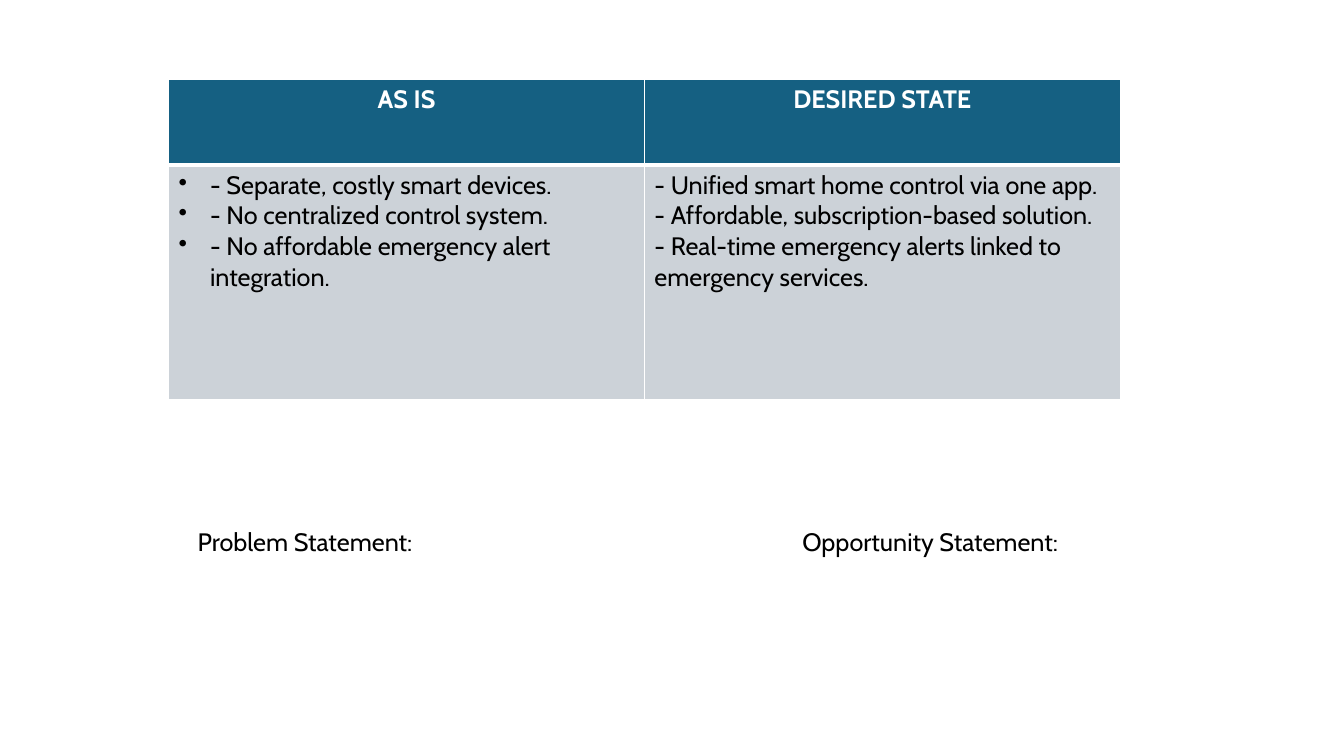
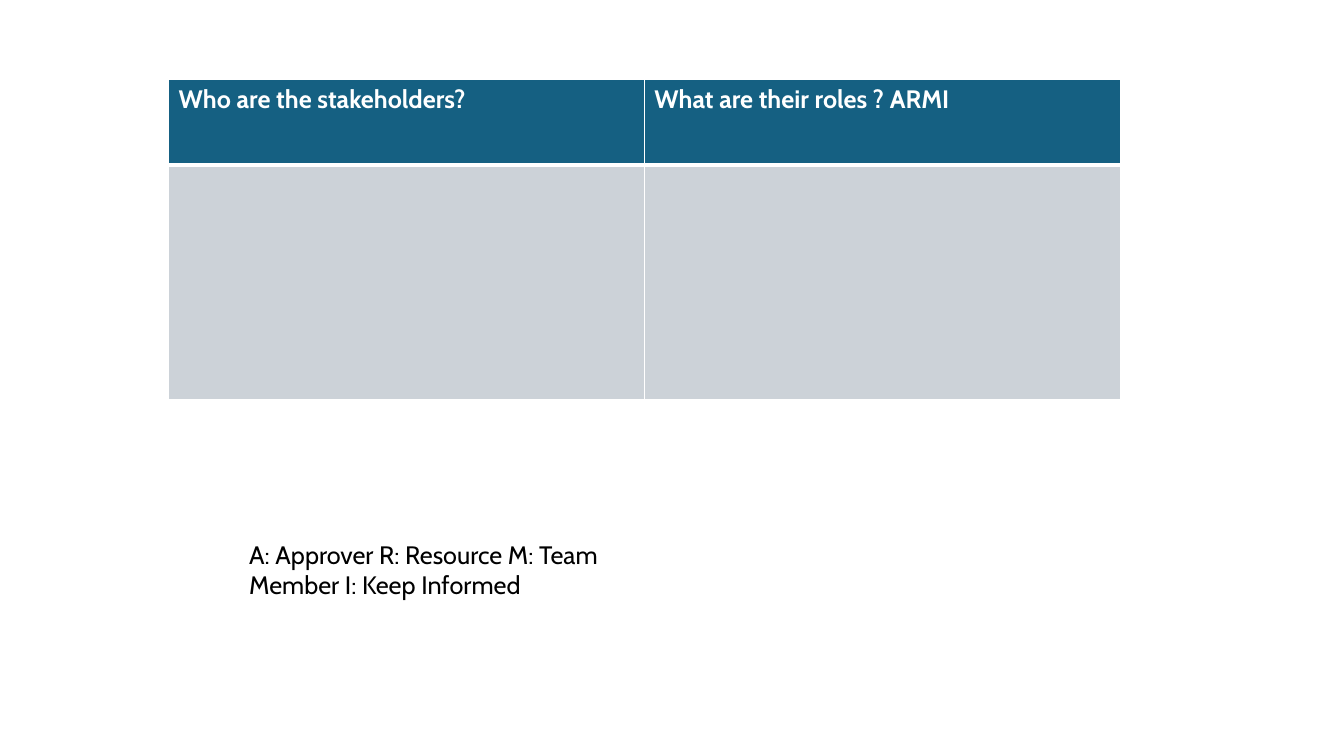
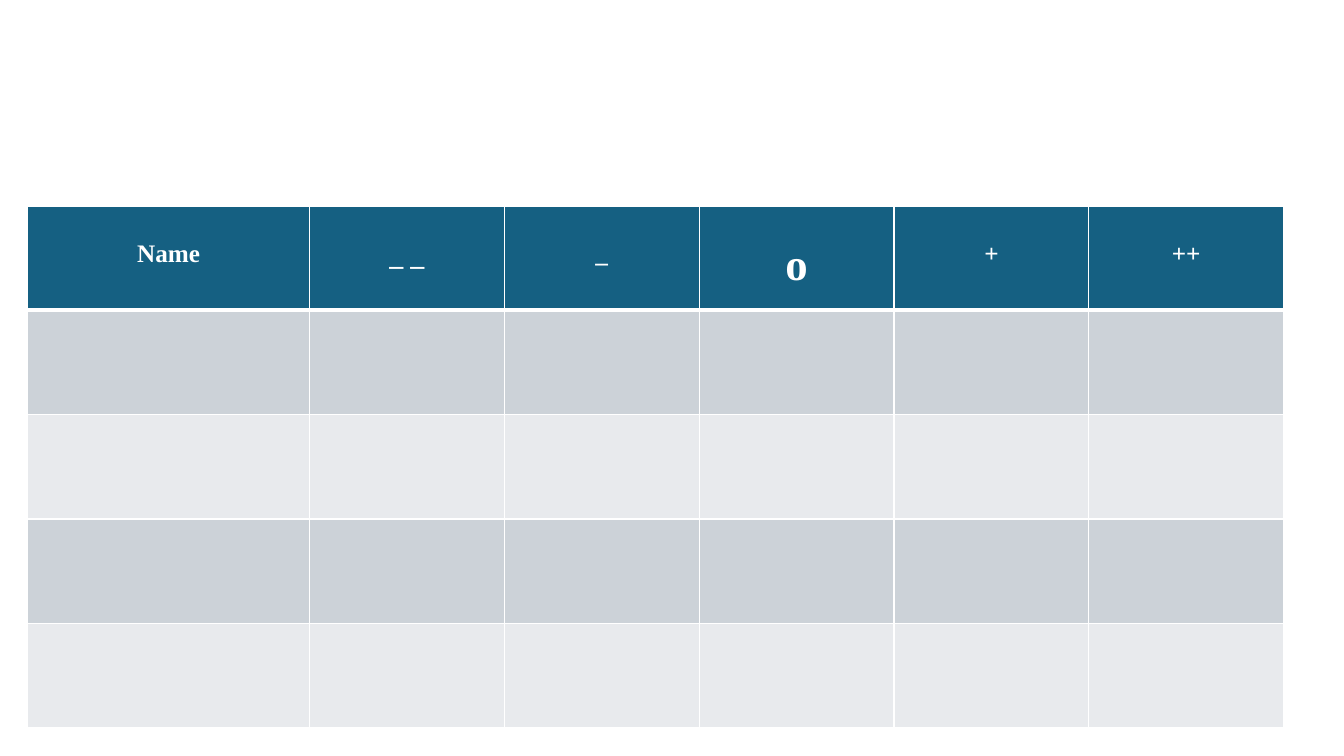
from dataclasses import dataclass

import pptx
import pptx.dml.color
import pptx.enum.text
import pptx.oxml
import pptx.oxml.ns
import pptx.util
from lxml import etree

Cm = pptx.util.Cm
Pt = pptx.util.Pt
RGB = pptx.dml.color.RGBColor.from_string
qn = pptx.oxml.ns.qn
CENTER = pptx.enum.text.PP_ALIGN.CENTER


@dataclass(frozen=True)
class Theme:
    header: str = "156082"
    bands: tuple = ("CCD2D8", "E8EAED")
    light: str = "FFFFFF"
    dark: str = "000000"
    font: str = "Cabin"
    rating_font: str = "Times New Roman"
    size: int = 18
    rating_sizes: tuple = (18, 20, 18, 32, 18, 18)
    thin: int = 1
    thick: int = 3


class Deck:
    def __init__(self, theme):
        self.theme = theme
        self.prs = pptx.Presentation()
        self.prs.slide_width = Cm(33.87)
        self.prs.slide_height = Cm(19.05)
        self.slide = None

    def new_slide(self):
        self.slide = self.prs.slides.add_slide(self.prs.slide_layouts[6])

    def style(self, paragraph, color, font=None, size=None, bold=False):
        paragraph.font.name = font or self.theme.font
        paragraph.font.size = Pt(size or self.theme.size)
        paragraph.font.bold = bold
        paragraph.font.color.rgb = RGB(color)

    def border(self, cell, row):
        """Rule all four edges, with a thick one between header and body."""
        properties = cell._tc.get_or_add_tcPr()
        heavy = {0: "lnB", 1: "lnT"}.get(row)
        for position, edge in enumerate(("lnL", "lnR", "lnT", "lnB")):
            width = self.theme.thick if edge == heavy else self.theme.thin
            line = etree.Element(qn("a:" + edge), w=str(Pt(width)))
            fill = etree.SubElement(line, qn("a:solidFill"))
            etree.SubElement(fill, qn("a:srgbClr"), val=self.theme.light)
            properties.insert(position, line)

    def bullet(self, paragraph, indent):
        properties = paragraph._p.get_or_add_pPr()
        properties.set("marL", str(indent))
        properties.set("indent", str(-indent))
        mark = etree.Element(qn("a:buChar"), char="•")
        properties.insert(0, mark)

    def table(self, left, top, widths, heights):
        """Add an empty table with header fill, row bands and borders."""
        frame = self.slide.shapes.add_table(
            len(heights), len(widths), left, top, sum(widths), sum(heights))
        table = frame.table
        for column, width in zip(table.columns, widths):
            column.width = width
        for index, height in enumerate(heights):
            table.rows[index].height = height
            color = self.theme.bands[(index - 1) % 2] if index else self.theme.header
            for cell in table.rows[index].cells:
                cell.fill.solid()
                cell.fill.fore_color.rgb = RGB(color)
                self.border(cell, index)
        return table

    def header(self, table, titles, align=None, font=None, sizes=None, margin_top=None):
        for column, title in enumerate(titles):
            cell = table.cell(0, column)
            cell.text = title
            if margin_top is not None:
                cell.margin_top = margin_top
            paragraph = cell.text_frame.paragraphs[0]
            paragraph.alignment = align
            self.style(paragraph, self.theme.light, font,
                       sizes[column] if sizes else None, bold=True)

    def points(self, cell, lines, bulleted=False):
        cell.text = "\n".join(lines)
        for paragraph in cell.text_frame.paragraphs:
            self.style(paragraph, self.theme.dark)
            if bulleted:
                self.bullet(paragraph, Cm(0.79))

    def comparison(self, titles, align=None):
        """Add the two-column table used for side-by-side questions."""
        table = self.table(Cm(4.25), Cm(2), [Cm(11.99)] * 2, [Cm(2.15), Cm(5.93)])
        self.header(table, titles, align)
        return table

    def note(self, text, left, top, width, height, tab=None):
        frame = self.slide.shapes.add_textbox(left, top, width, height).text_frame
        frame.word_wrap = True
        frame.auto_size = pptx.enum.text.MSO_AUTO_SIZE.SHAPE_TO_FIT_TEXT
        frame.text = text
        paragraph = frame.paragraphs[0]
        self.style(paragraph, self.theme.dark)
        if tab is not None:
            stops = etree.Element(qn("a:tabLst"))
            etree.SubElement(stops, qn("a:tab"), pos=str(tab), algn="l")
            paragraph._p.get_or_add_pPr().insert(0, stops)


def state_slide(deck):
    deck.new_slide()
    states = deck.comparison(["AS IS", "DESIRED STATE"], CENTER)
    deck.points(states.cell(1, 0), [
        "- Separate, costly smart devices.",
        "- No centralized control system.",
        "- No affordable emergency alert integration.",
    ], bulleted=True)
    deck.points(states.cell(1, 1), [
        "- Unified smart home control via one app.",
        "- Affordable, subscription-based solution.",
        "- Real-time emergency alerts linked to emergency services.",
    ])
    deck.note("Problem Statement:\tOpportunity Statement:",
              Cm(4.73), Cm(13.15), Cm(24.57), Cm(1.03), tab=Cm(15.24))


def stakeholder_slide(deck):
    deck.new_slide()
    deck.comparison(["Who are the stakeholders?", "What are their roles ? ARMI"])
    deck.note("A: Approver R: Resource M: Team Member I: Keep Informed",
              Cm(6.03), Cm(13.47), Cm(9.68), Cm(1.8))


def rating_slide(deck):
    deck.new_slide()
    ratings = deck.table(Cm(0.7), Cm(5.19), [Cm(7.1)] + [Cm(4.91)] * 5, [Cm(2.63)] * 5)
    deck.header(ratings, ["Name", "_ _", "_", "o", "+", "++"], CENTER,
                deck.theme.rating_font, deck.theme.rating_sizes, margin_top=Cm(0.86))


def main():
    deck = Deck(Theme())
    state_slide(deck)
    stakeholder_slide(deck)
    rating_slide(deck)
    deck.prs.save("out.pptx")


if __name__ == "__main__":
    main()
